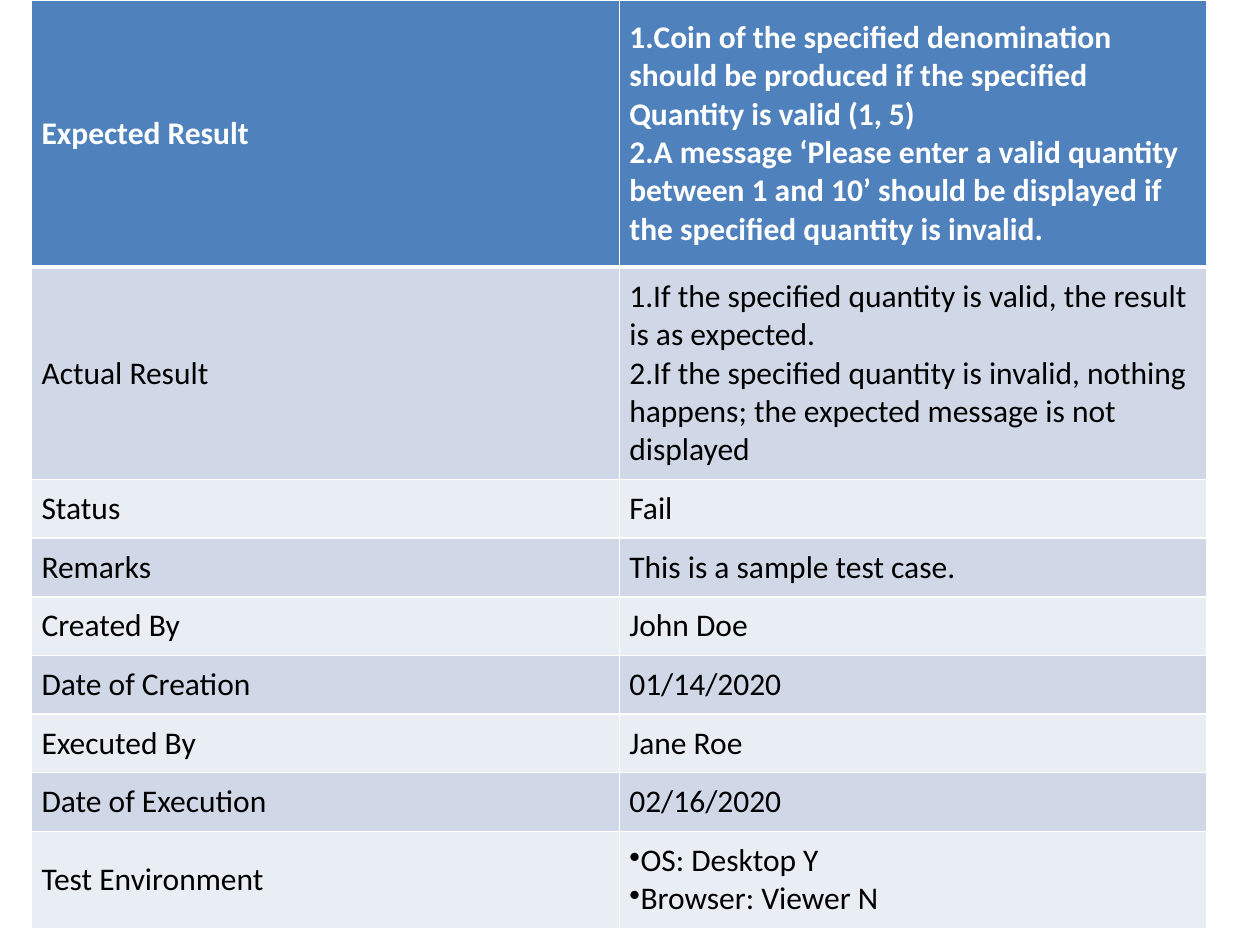
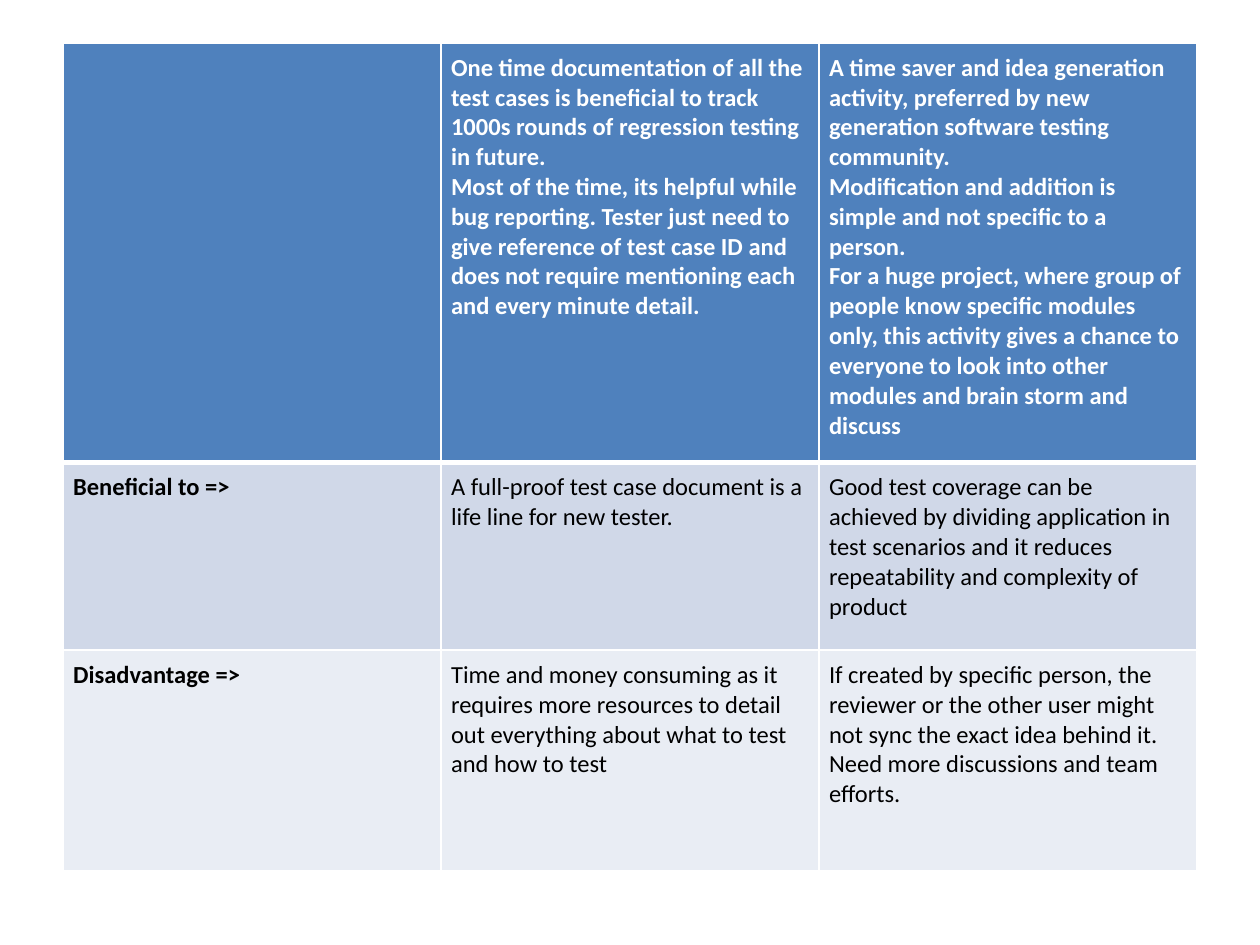
from lxml import etree
from pptx import Presentation
from pptx.dml.color import RGBColor
from pptx.enum import text as text_enum
from pptx.oxml import ns
from pptx.util import Inches, Pt

FONT = "Calibri"
WHITE = RGBColor(0xFF, 0xFF, 0xFF)
BLACK = RGBColor(0x00, 0x00, 0x00)
HEADER_BLUE = RGBColor(0x4F, 0x81, 0xBD)
BANDS = [RGBColor(0xD0, 0xD8, 0xE8), RGBColor(0xE9, 0xED, 0xF4)]
CELL_MARGIN = Inches(0.08)
THIN, THICK = Pt(1), Pt(3)
TOP = text_enum.MSO_ANCHOR.TOP
MIDDLE = text_enum.MSO_ANCHOR.MIDDLE
NUMBER = ("a:buAutoNum", {"type": "arabicPeriod"})
DOT = ("a:buChar", {"char": "•"})

TEST_CASE = {
    "place": (0.25, 0, 9.33),
    "heights": [2.12, 1.56] + [0.44] * 6 + [0.72],
    "size": 18,
    "anchor": MIDDLE,
    "bold_labels": False,
    "markers": {0: NUMBER, 1: NUMBER, 8: DOT},
    "rows": [
        ("Expected Result", [
            "Coin of the specified denomination should be produced if the specified Quantity is valid (1, 5)",
            "A message ‘Please enter a valid quantity between 1 and 10’ should be displayed if the specified quantity is invalid.",
        ]),
        ("Actual Result", [
            "If the specified quantity is valid, the result is as expected.",
            "If the specified quantity is invalid, nothing happens; the expected message is not displayed",
        ]),
        ("Status", "Fail"),
        ("Remarks", "This is a sample test case."),
        ("Created By", "John Doe"),
        ("Date of Creation", "01/14/2020"),
        ("Executed By", "Jane Roe"),
        ("Date of Execution", "02/16/2020"),
        ("Test Environment", ["OS: Desktop Y", "Browser: Viewer N"]),
    ],
}

COMPARISON = {
    "place": (0.5, 0.34, 9),
    "heights": [3.33, 1.49, 1.75],
    "size": 14,
    "anchor": TOP,
    "bold_labels": True,
    "markers": {},
    "rows": [
        (
            "",
            "One time documentation of all the test cases is beneficial to track 1000s rounds of regression testing in future.\n"
            "Most of the time, its helpful while bug reporting. Tester just need to give reference of test case ID "
            "and does not require mentioning each and every minute detail.",
            "A time saver and idea generation activity, preferred by new generation software testing community.\n"
            "Modification and addition is simple and not specific to a person.\n"
            "For a huge project, where group of people know specific modules only, this activity gives a chance to "
            "everyone to look into other modules and brain storm and discuss",
        ),
        (
            "Beneficial to =>",
            "A full-proof test case document is a life line for new tester.",
            "Good test coverage can be achieved by dividing application in test scenarios and it reduces "
            "repeatability and complexity of product",
        ),
        (
            "Disadvantage =>",
            "Time and money consuming as it requires more resources to detail out everything about what to test "
            "and how to test",
            "If created by specific person, the reviewer or the other user might not sync the exact idea behind it. "
            "Need more discussions and team efforts.",
        ),
    ],
}


def write_text(frame, content, *, size, color, bold=False, marker=None):
    lines = content if isinstance(content, list) else [content]
    for index, line in enumerate(lines):
        para = frame.paragraphs[0] if index == 0 else frame.add_paragraph()
        para.text = line
        if marker:
            tag, attributes = marker
            etree.SubElement(para._p.get_or_add_pPr(), ns.qn(tag), attributes)
        for span in para.runs:
            span.font.name = FONT
            span.font.size = Pt(size)
            span.font.bold = bold
            span.font.color.rgb = color


def draw_borders(cell, **widths):
    properties = cell._tc.get_or_add_tcPr()
    for side in "LRTB":
        line = etree.SubElement(properties, ns.qn(f"a:ln{side}"), w=str(widths.get(side, THIN)))
        fill = etree.SubElement(line, ns.qn("a:solidFill"))
        etree.SubElement(fill, ns.qn("a:srgbClr"), val=str(WHITE))


def format_cell(cell, row, anchor):
    cell.margin_left = cell.margin_right = CELL_MARGIN
    cell.margin_top = cell.margin_bottom = CELL_MARGIN
    cell.vertical_anchor = anchor
    draw_borders(cell, T=THICK if row == 1 else THIN, B=THICK if row == 0 else THIN)
    cell.fill.solid()
    cell.fill.fore_color.rgb = HEADER_BLUE if row == 0 else BANDS[(row - 1) % 2]


def add_table_slide(deck, content):
    slide = deck.slides.add_slide(deck.slide_layouts[6])
    rows, heights = content["rows"], content["heights"]
    left, top, width = content["place"]
    columns = len(rows[0])
    table = slide.shapes.add_table(
        len(rows), columns, Inches(left), Inches(top), Inches(width), Inches(sum(heights))
    ).table
    table.first_row = table.horz_banding = False
    for column in table.columns:
        column.width = Inches(width / columns)
    for row, (values, height) in enumerate(zip(rows, heights)):
        table.rows[row].height = Inches(height)
        for column, value in enumerate(values):
            cell = table.cell(row, column)
            format_cell(cell, row, content["anchor"])
            write_text(
                cell.text_frame,
                value,
                size=content["size"],
                color=WHITE if row == 0 else BLACK,
                bold=row == 0 or (column == 0 and content["bold_labels"]),
                marker=content["markers"].get(row) if column else None,
            )


def main():
    deck = Presentation()
    deck.slide_width, deck.slide_height = Inches(10), Inches(7.5)
    for content in (TEST_CASE, COMPARISON):
        add_table_slide(deck, content)
    deck.save("out.pptx")


if __name__ == "__main__":
    main()
